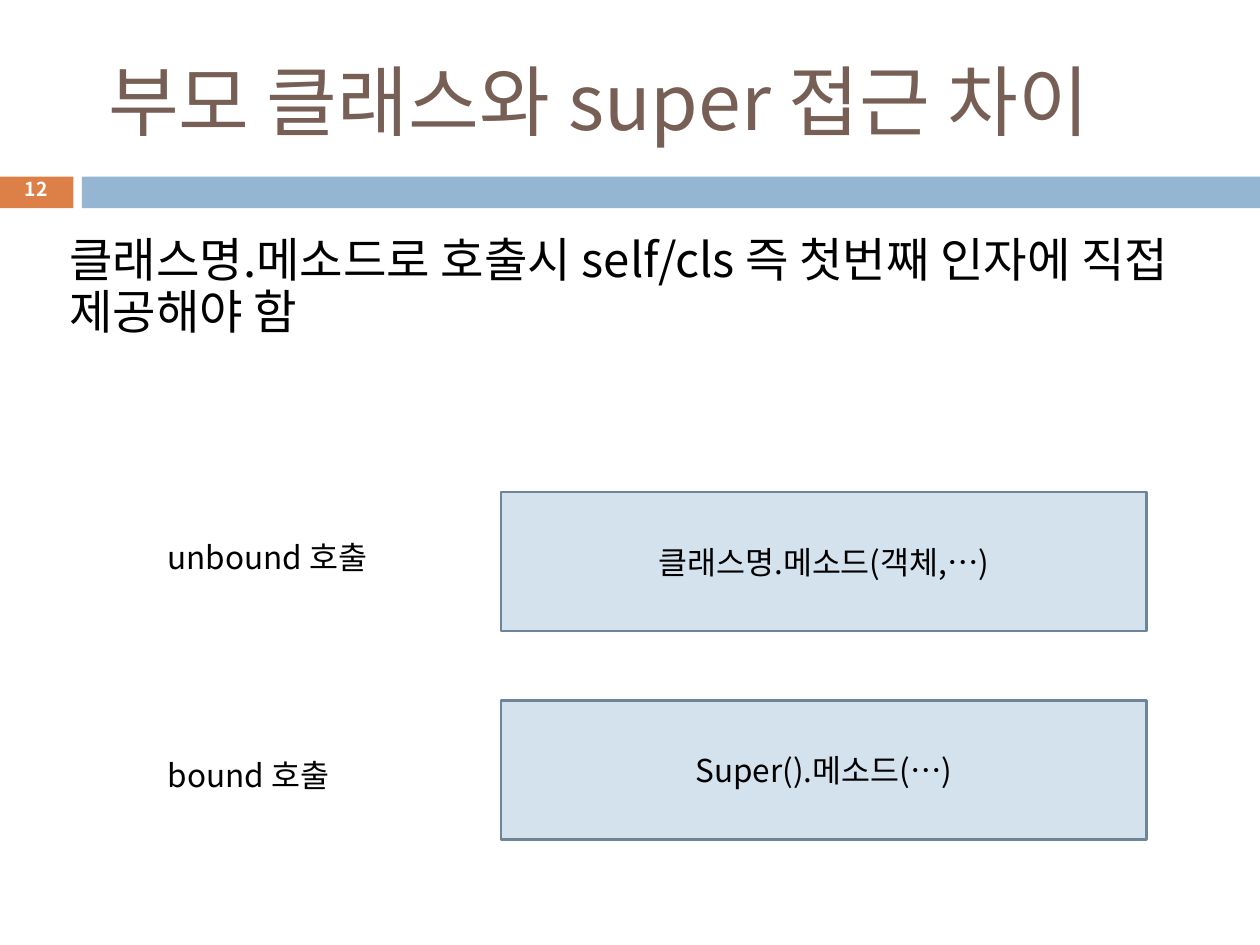
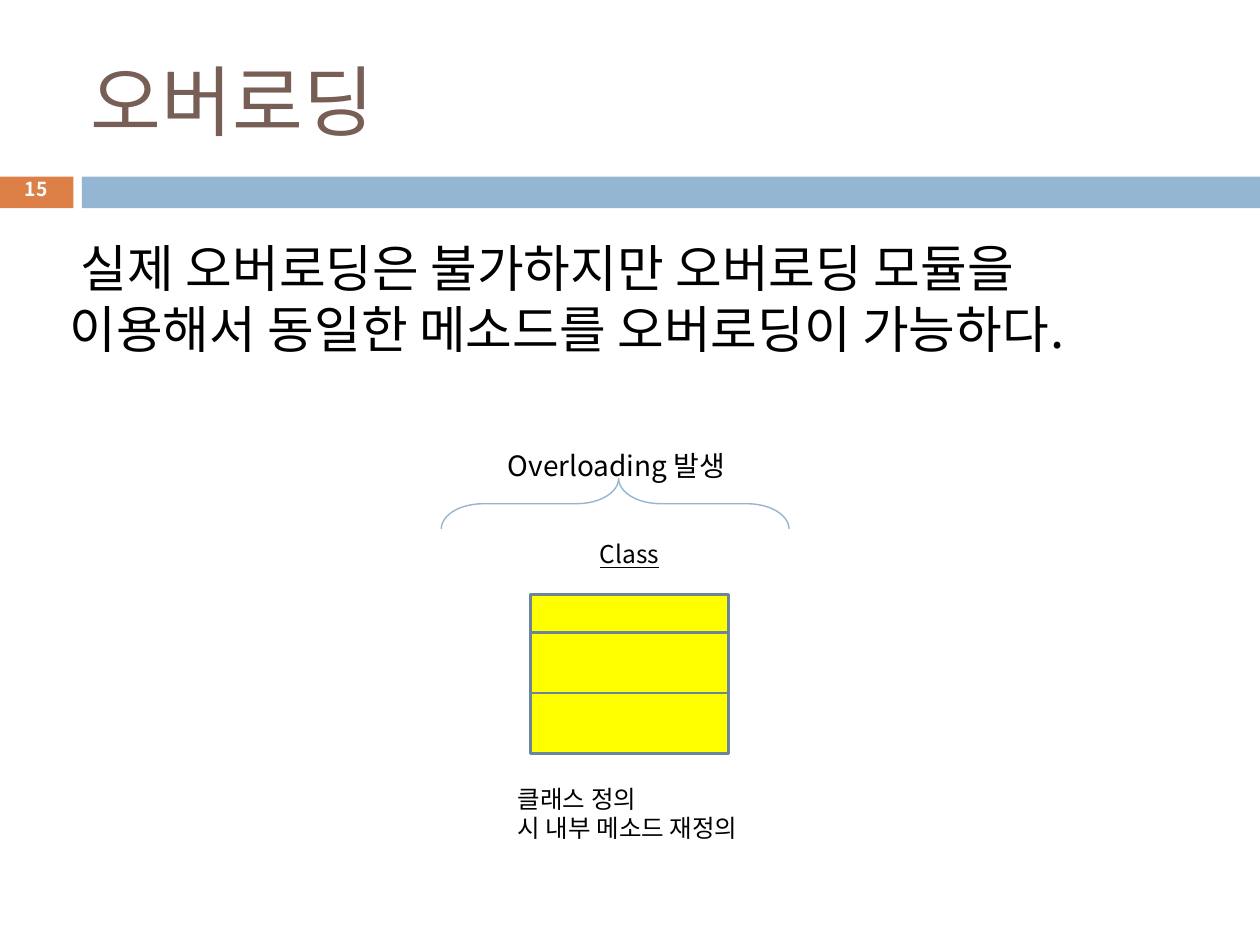
from lxml.etree import SubElement
from pptx import Presentation
from pptx.dml.color import RGBColor
from pptx.enum.shapes import MSO_SHAPE
from pptx.enum.text import MSO_ANCHOR, PP_ALIGN
from pptx.oxml.ns import qn
from pptx.util import Cm, Pt

# Content
CALLS = {
    "title": "부모 클래스와 super 접근 차이",
    "number": "12",
    "body": "클래스명.메소드로 호출시 self/cls 즉 첫번째 인자에 직접 제공해야 함",
    "rows": [("unbound 호출", 10.72, "클래스명.메소드(객체,…)"),
             ("bound 호출", 15.11, "Super().메소드(…)")],
}
OVERLOADING = {
    "title": "오버로딩",
    "number": "15",
    "body": "실제 오버로딩은 불가하지만 오버로딩 모듈을 이용해서 동일한 메소드를 오버로딩이 가능하다.",
    "cause": "Overloading 발생",
    "class": "Class",
    "notes": ["클래스 정의", "시 내부 메소드 재정의"],
}

# Shared look
FONT = "Noto Sans CJK KR"
ORANGE, BLUE, BROWN = "DD8047", "94B6D2", "775F55"
PALE_BLUE, SLATE, YELLOW = "D4E2ED", "6C8599", "FFFF00"
BLACK, WHITE = "000000", "FFFFFF"
INSET = Cm(0.13)


def color(value):
    return RGBColor.from_string(value)


def write(shape, lines, size, ink=BLACK, align=PP_ALIGN.LEFT, anchor=MSO_ANCHOR.TOP,
          indent=0, spacing=None, bold=False, underline=False, wrap=True):
    frame = shape.text_frame
    frame.word_wrap = wrap
    frame.vertical_anchor = anchor
    frame.margin_left = frame.margin_right = INSET
    frame.margin_top = frame.margin_bottom = INSET
    for index, line in enumerate(lines):
        paragraph = frame.add_paragraph() if index else frame.paragraphs[0]
        paragraph.text = line
        paragraph.alignment = align
        paragraph.line_spacing = spacing
        properties = paragraph._p.get_or_add_pPr()
        properties.set("indent", str(Cm(indent)))
        font = paragraph.font
        font.size, font.bold, font.underline = Pt(size), bold, underline
        font.color.rgb = color(ink)
        font.name = FONT
        # East Asian typeface for the Korean text
        SubElement(properties.find(qn("a:defRPr")), qn("a:ea"), typeface=FONT)


def add_text(slide, box, lines, size, **style):
    shape = slide.shapes.add_textbox(*map(Cm, box))
    write(shape, lines, size, **style)


def add_shape(slide, box, fill=None, line=None, width=1.5, kind=MSO_SHAPE.RECTANGLE):
    shape = slide.shapes.add_shape(kind, *map(Cm, box))
    shape.shadow.inherit = False
    if fill:
        shape.fill.solid()
        shape.fill.fore_color.rgb = color(fill)
    else:
        shape.fill.background()
    if line:
        shape.line.color.rgb = color(line)
        shape.line.width = Pt(width)
    else:
        shape.line.fill.background()
    return shape


def add_base(presentation, content, title_indent=0):
    """Blank slide with the two bands, title and slide number."""
    slide = presentation.slides.add_slide(presentation.slide_layouts[6])
    add_shape(slide, (0, 3.56, 1.48, 0.64), ORANGE)
    add_shape(slide, (1.65, 3.56, 23.75, 0.64), BLUE)
    add_text(slide, (1.7, 0.64, 22.66, 2.74), [content["title"]], 44, ink=BROWN,
             anchor=MSO_ANCHOR.MIDDLE, indent=title_indent)
    add_text(slide, (0.36, 3.48, 0.74, 0.76), [content["number"]], 11, ink=WHITE,
             align=PP_ALIGN.CENTER, anchor=MSO_ANCHOR.MIDDLE, spacing=0.8,
             bold=True, wrap=False)
    return slide


def build_calls(presentation):
    slide = add_base(presentation, CALLS, title_indent=0.35)
    add_text(slide, (1.27, 4.65, 22.86, 3.89), [CALLS["body"]], 27, spacing=0.9)
    # One labelled call box per row
    top, pitch = 9.92, 4.2
    for row, (label, label_top, call) in enumerate(CALLS["rows"]):
        box = add_shape(slide, (10.1, top + row * pitch, 13.02, 2.8), PALE_BLUE, SLATE)
        write(box, [call], 18, align=PP_ALIGN.CENTER, anchor=MSO_ANCHOR.MIDDLE)
        add_text(slide, (3.11, label_top, 5.59, 1.02), [label], 18, indent=0.14)


def build_overloading(presentation):
    slide = add_base(presentation, OVERLOADING)
    add_text(slide, (1.27, 4.65, 22.86, 4.09), [OVERLOADING["body"]], 29, indent=0.23)
    # Class box with three compartments
    left, top, width = 10.69, 11.99, 4
    add_text(slide, (left, 10.74, width, 0.86), [OVERLOADING["class"]], 14,
             align=PP_ALIGN.CENTER, underline=True)
    for height in (0.76, 1.22, 1.22):
        add_shape(slide, (left, top, width, height), YELLOW, SLATE)
        top += height
    add_text(slide, (10.31, 15.67, 5.21, 2.06), OVERLOADING["notes"], 14)
    # Brace turned to point up at its caption
    brace = add_shape(slide, (11.89, 6.65, 1.02, 7.01), line=BLUE, width=0.79,
                      kind=MSO_SHAPE.LEFT_BRACE)
    brace.rotation = 90
    brace.adjustments[0] = 0.83
    brace.adjustments[1] = 0.49
    add_text(slide, (10.11, 8.92, 5.59, 0.94), [OVERLOADING["cause"]], 16)


def main():
    presentation = Presentation()
    presentation.slide_width, presentation.slide_height = Cm(25.4), Cm(19.05)
    build_calls(presentation)
    build_overloading(presentation)
    presentation.save("out.pptx")


if __name__ == "__main__":
    main()
